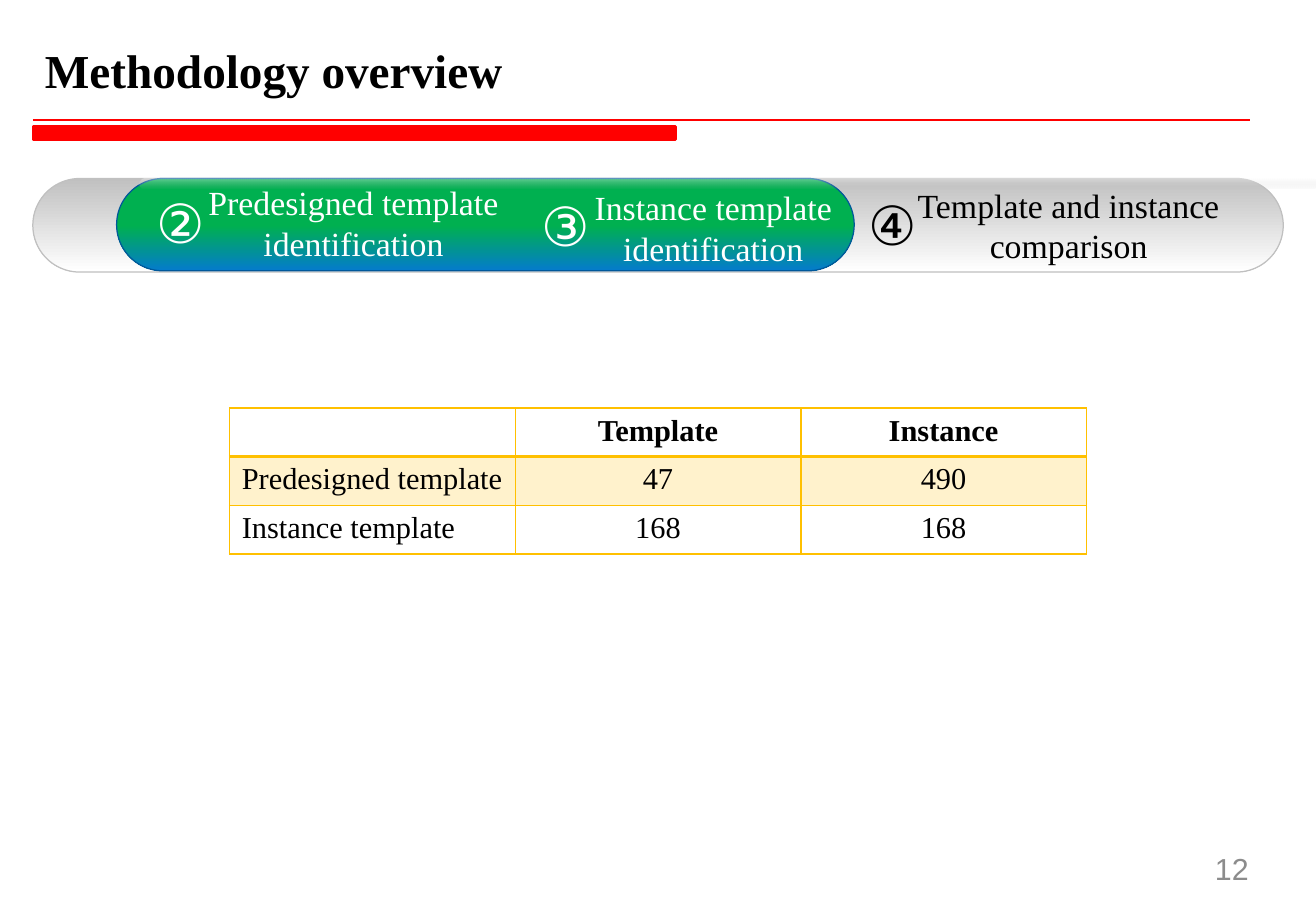
from dataclasses import dataclass
from typing import Any

from lxml.etree import SubElement
from pptx import Presentation
from pptx.dml.color import RGBColor
from pptx.enum.shapes import MSO_CONNECTOR, MSO_SHAPE
from pptx.enum.text import MSO_ANCHOR, MSO_AUTO_SIZE, PP_ALIGN
from pptx.oxml.ns import qn
from pptx.util import Inches, Pt

BLACK = RGBColor(0x00, 0x00, 0x00)
WHITE = RGBColor(0xFF, 0xFF, 0xFF)
RED = RGBColor(0xFF, 0x00, 0x00)
SILVER = RGBColor(0xC0, 0xC0, 0xC0)
ASH = RGBColor(0xB6, 0xB6, 0xB6)
GREY = RGBColor(0x8C, 0x8C, 0x8C)
GREEN = RGBColor(0x00, 0xB0, 0x50)
BLUE = RGBColor(0x04, 0x7B, 0xCC)
NAVY = RGBColor(0x00, 0x58, 0x9A)
GOLD = RGBColor(0xFF, 0xC0, 0x00)
CREAM = RGBColor(0xFF, 0xF2, 0xCC)

SERIF = "Times New Roman"
SANS = "Arial"
Box = tuple[float, float, float, float]


@dataclass
class Stop:
    """One gradient colour with its place and opacity in percent."""
    tone: RGBColor
    place: float
    alpha: int = 100


@dataclass
class Pill:
    """A rounded bar filled from top to bottom."""
    box: Box
    stops: tuple[Stop, Stop]
    edge: RGBColor | None = None


@dataclass
class Step:
    """A numbered step with the boxes of its mark and its label."""
    mark: str
    spot: Box
    label: str
    box: Box
    tone: RGBColor


PILLS = [
    Pill((0.27, 1.47, 10.29, 0.77), (Stop(SILVER, 0), Stop(WHITE, 1)), SILVER),
    Pill((0.96, 1.47, 6.07, 0.76), (Stop(GREEN, 0.51), Stop(BLUE, 1)), NAVY),
    Pill((1.15, 1.47, 9.69, 0.08), (Stop(WHITE, 0, 40), Stop(ASH, 1, 0))),
]
STEPS = [
    Step("②", (1.19, 1.51, 0.58, 0.64), "Predesigned template identification",
         (1.56, 1.45, 2.7, 0.77), WHITE),
    Step("③", (4.36, 1.54, 0.58, 0.64), "Instance template identification",
         (4.58, 1.49, 2.58, 0.77), WHITE),
    Step("④", (7.05, 1.53, 0.53, 0.64), "Template and instance comparison",
         (7.43, 1.47, 2.73, 0.77), BLACK),
]
ROWS = [
    ("", "Template", "Instance"),
    ("Predesigned template", "47", "490"),
    ("Instance template", "168", "168"),
]


def scale(box: Box) -> list[int]:
    """Turn a box in inches into lengths."""
    return [Inches(side) for side in box]


def write(frame: Any, text: str, face: str, size: float, tone: RGBColor,
          bold: bool = False, align: PP_ALIGN = PP_ALIGN.LEFT) -> None:
    """Put one formatted paragraph into a text frame."""
    para = frame.paragraphs[0]
    para.alignment = align
    run = para.add_run()
    run.text = text
    style = {"name": face, "size": Pt(size), "bold": bold}
    for key, value in style.items():
        setattr(run.font, key, value)
    run.font.color.rgb = tone


def add_text(slide: Any, box: Box, text: str, face: str, size: float,
             tone: RGBColor, align: PP_ALIGN = PP_ALIGN.LEFT) -> None:
    """Add a wrapped text box."""
    frame = slide.shapes.add_textbox(*scale(box)).text_frame
    frame.word_wrap = True
    write(frame, text, face, size, tone, align=align)


def add_title(slide: Any, text: str) -> None:
    """Fill the title and draw the red rule and bar below it."""
    title = slide.shapes.title
    sides = ("left", "top", "width", "height")
    for key, value in zip(sides, scale((0.27, 0.29, 10.02, 0.57))):
        setattr(title, key, value)
    frame = title.text_frame
    style = {"vertical_anchor": MSO_ANCHOR.MIDDLE, "word_wrap": True,
             "auto_size": MSO_AUTO_SIZE.NONE}
    for key, value in style.items():
        setattr(frame, key, value)
    write(frame, text, SERIF, 28, BLACK, bold=True)

    rule = slide.shapes.add_connector(
        MSO_CONNECTOR.STRAIGHT, *scale((0.27, 0.99, 10.29, 0.99)))
    rule.line.color.rgb = RED
    rule.line.width = Pt(1.25)
    SubElement(rule.element.spPr, qn("a:effectLst"))

    bar = slide.shapes.add_shape(
        MSO_SHAPE.RECTANGLE, *scale((0.28, 1.04, 5.28, 0.11)))
    bar.shadow.inherit = False
    bar.fill.solid()
    bar.fill.fore_color.rgb = RED
    bar.line.color.rgb = RED
    bar.line.width = Pt(2)


def add_pill(slide: Any, pill: Pill) -> None:
    """Draw a rounded bar with its gradient."""
    shape = slide.shapes.add_shape(
        MSO_SHAPE.ROUNDED_RECTANGLE, *scale(pill.box))
    shape.adjustments[0] = 0.5
    shape.shadow.inherit = False
    shape.fill.gradient()
    shape.fill.gradient_angle = 270
    for part, stop in zip(shape.fill.gradient_stops, pill.stops):
        part.color.rgb = stop.tone
        part.position = stop.place
    grad = shape.element.spPr.find(qn("a:gradFill"))
    for tint, stop in zip(grad.iter(qn("a:srgbClr")), pill.stops):
        if stop.alpha < 100:
            SubElement(tint, qn("a:alpha"), val=str(stop.alpha * 1000))
    if pill.edge is None:
        shape.line.fill.background()
    else:
        shape.line.color.rgb = pill.edge
        shape.line.width = Pt(0.75)


def add_edge(cell: Any, side: str, width: float) -> None:
    """Draw one golden border of a cell."""
    line = SubElement(cell._tc.get_or_add_tcPr(), qn(f"a:ln{side}"),
                      w=str(Pt(width)))
    fill = SubElement(line, qn("a:solidFill"))
    SubElement(fill, qn("a:srgbClr"), val=str(GOLD))


def add_grid(slide: Any) -> None:
    """Add the table of counts."""
    grid = slide.shapes.add_table(
        len(ROWS), len(ROWS[0]), *scale((1.89, 3.36, 7.05, 1.2))).table
    grid.first_row = grid.horz_banding = False
    for i, row in enumerate(ROWS):
        for j, text in enumerate(row):
            cell = grid.cell(i, j)
            edges = {"L": 1, "R": 1, "T": 2 if i == 1 else 1,
                     "B": 2 if i == 0 else 1}
            for side, width in edges.items():
                add_edge(cell, side, width)
            if i == 1:
                cell.fill.solid()
                cell.fill.fore_color.rgb = CREAM
            else:
                cell.fill.background()
            align = PP_ALIGN.CENTER if j else PP_ALIGN.LEFT
            write(cell.text_frame, text, SERIF, 18, BLACK, i == 0, align)


def main() -> None:
    """Build the slide and save it."""
    deck = Presentation()
    deck.slide_width, deck.slide_height = Inches(10.83), Inches(7.5)
    slide = deck.slides.add_slide(deck.slide_layouts[5])
    add_title(slide, "Methodology overview")
    for pill in PILLS:
        add_pill(slide, pill)
    for step in STEPS:
        add_text(slide, step.box, step.label, SERIF, 20, step.tone,
                 PP_ALIGN.CENTER)
        add_text(slide, step.spot, step.mark, SANS, 32, step.tone)
    add_grid(slide)
    add_text(slide, (9.9, 6.95, 0.93, 0.4), "12", SANS, 18, GREY)
    deck.save("out.pptx")


if __name__ == "__main__":
    main()
